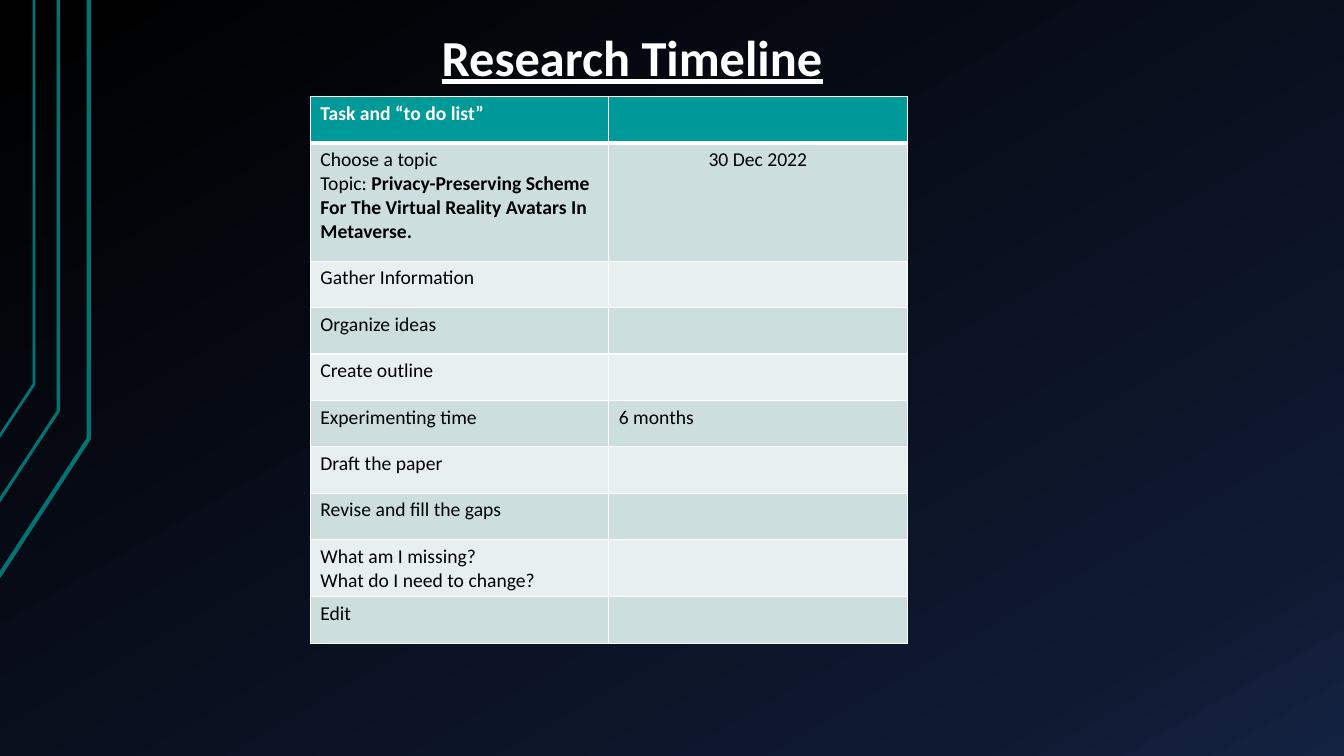
from lxml.etree import SubElement, Element
from pptx import Presentation
from pptx.dml.color import RGBColor as RGB
from pptx.enum.text import MSO_ANCHOR as ANCHOR, PP_ALIGN as ALIGN
from pptx.oxml.ns import qn
from pptx.util import Cm, Pt

TITLE = "Research Timeline"
TASKS = [
    (["Task and “to do list”"], ""),
    (["Choose a topic",
      ("Topic: ", "Privacy-Preserving Scheme For The Virtual Reality Avatars In Metaverse.")],
     "30 Dec 2022"),
    (["Gather Information"], ""),
    (["Organize ideas"], ""),
    (["Create outline"], ""),
    (["Experimenting time"], "6 months"),
    (["Draft the paper"], ""),
    (["Revise and fill the gaps"], ""),
    (["What am I missing?", "What do I need to change?"], ""),
    (["Edit"], ""),
]
TOPIC_ROW = 1
CIRCUIT_LINES = [
    ([(-0.03, 14.53), (2.24, 11.05), (2.24, 0)], 3),
    ([(-0.05, 12.67), (1.47, 10.36), (1.47, 0)], 2.25),
    ([(-0.03, 11.02), (0.86, 9.68), (0.86, 0)], 2),
]
THEME = {
    "font": "Calibri",
    "title_size": 36,
    "cell_size": 14,
    "white": "FFFFFF",
    "black": "000000",
    "header": "009999",
    "bands": ("E7EFEF", "CCDEDE"),
    "circuit": "007373",
    "backdrop": [(0, "000000"), (85, "0F1931"), (100, "142242")],
}
TABLE_LEFT, TABLE_TOP, COLUMN_WIDTH = 7.82, 2.44, 7.52
ROW_HEIGHT, TOPIC_HEIGHT = 1.17, 2.97


def color_of(name):
    return RGB.from_string(THEME[name])


def style_font(font, size, color, **formats):
    font.name = THEME["font"]
    font.size = Pt(THEME[size])
    font.color.rgb = color_of(color)
    for name, value in formats.items():
        setattr(font, name, value)


def paint_background(slide):
    fill = slide.background.fill
    fill.gradient()
    fill.gradient_angle = 300
    stops = next(slide.element.iter(qn("a:gsLst")))
    for stop in list(stops):
        stops.remove(stop)
    for percent, color in THEME["backdrop"]:
        stop = SubElement(stops, qn("a:gs"), pos=str(percent * 1000))
        SubElement(stop, qn("a:srgbClr"), val=color)


def draw_circuit_line(slide, points, width):
    start, *rest = [(Cm(x), Cm(y)) for x, y in points]
    builder = slide.shapes.build_freeform(*start)
    builder.add_line_segments(rest, close=False)
    shape = builder.convert_to_shape()
    shape.shadow.inherit = False
    shape.fill.background()
    shape.line.color.rgb = color_of("circuit")
    shape.line.width = Pt(width)


def add_title(slide):
    box = slide.shapes.add_textbox(Cm(10.8), Cm(0.43), Cm(15.67), Cm(1.96))
    frame = box.text_frame
    formats = {
        "word_wrap": True, "vertical_anchor": ANCHOR.BOTTOM,
        "margin_left": Cm(0.33), "margin_right": Cm(0.33),
        "margin_top": Cm(0.18), "margin_bottom": Cm(0.18),
    }
    for name, value in formats.items():
        setattr(frame, name, value)
    para = frame.paragraphs[0]
    para.line_spacing = 0.9
    span = para.add_run()
    span.text = TITLE
    style_font(span.font, "title_size", "white", bold=True, underline=True)


def set_borders(cell, widths):
    properties = cell._tc.get_or_add_tcPr()
    for index, (side, width) in enumerate(widths.items()):
        line = Element(qn(f"a:ln{side}"), w=str(Pt(width)))
        fill = SubElement(line, qn("a:solidFill"))
        SubElement(fill, qn("a:srgbClr"), val=THEME["white"])
        properties.insert(index, line)


def fill_cell(cell, lines, row):
    header = row == 0
    color = THEME["header"] if header else THEME["bands"][row % 2]
    cell.fill.solid()
    cell.fill.fore_color.rgb = RGB.from_string(color)
    set_borders(cell, {"L": 1, "R": 1, "T": 3 if row == 1 else 1, "B": 3 if header else 1})
    ink = "white" if header else "black"
    frame = cell.text_frame
    for index, line in enumerate(lines):
        para = frame.add_paragraph() if index else frame.paragraphs[0]
        style_font(para.font, "cell_size", ink)
        parts = (line,) if isinstance(line, str) else line
        for position, part in enumerate(parts):
            if part:
                span = para.add_run()
                span.text = part
                style_font(span.font, "cell_size", ink, bold=header or position > 0)


def add_timeline(slide):
    heights = [TOPIC_HEIGHT if row == TOPIC_ROW else ROW_HEIGHT for row in range(len(TASKS))]
    table = slide.shapes.add_table(
        len(TASKS), 2, Cm(TABLE_LEFT), Cm(TABLE_TOP), Cm(2 * COLUMN_WIDTH), Cm(sum(heights))
    ).table
    for column in table.columns:
        column.width = Cm(COLUMN_WIDTH)
    for row, (task, date) in enumerate(TASKS):
        table.rows[row].height = Cm(heights[row])
        fill_cell(table.cell(row, 0), task, row)
        fill_cell(table.cell(row, 1), [date], row)
    table.cell(TOPIC_ROW, 1).text_frame.paragraphs[0].alignment = ALIGN.CENTER


def main():
    deck = Presentation()
    deck.slide_width, deck.slide_height = Cm(33.87), Cm(19.05)
    slide = deck.slides.add_slide(deck.slide_layouts[6])
    paint_background(slide)
    for points, width in CIRCUIT_LINES:
        draw_circuit_line(slide, points, width)
    add_title(slide)
    add_timeline(slide)
    deck.save("out.pptx")


if __name__ == "__main__":
    main()
